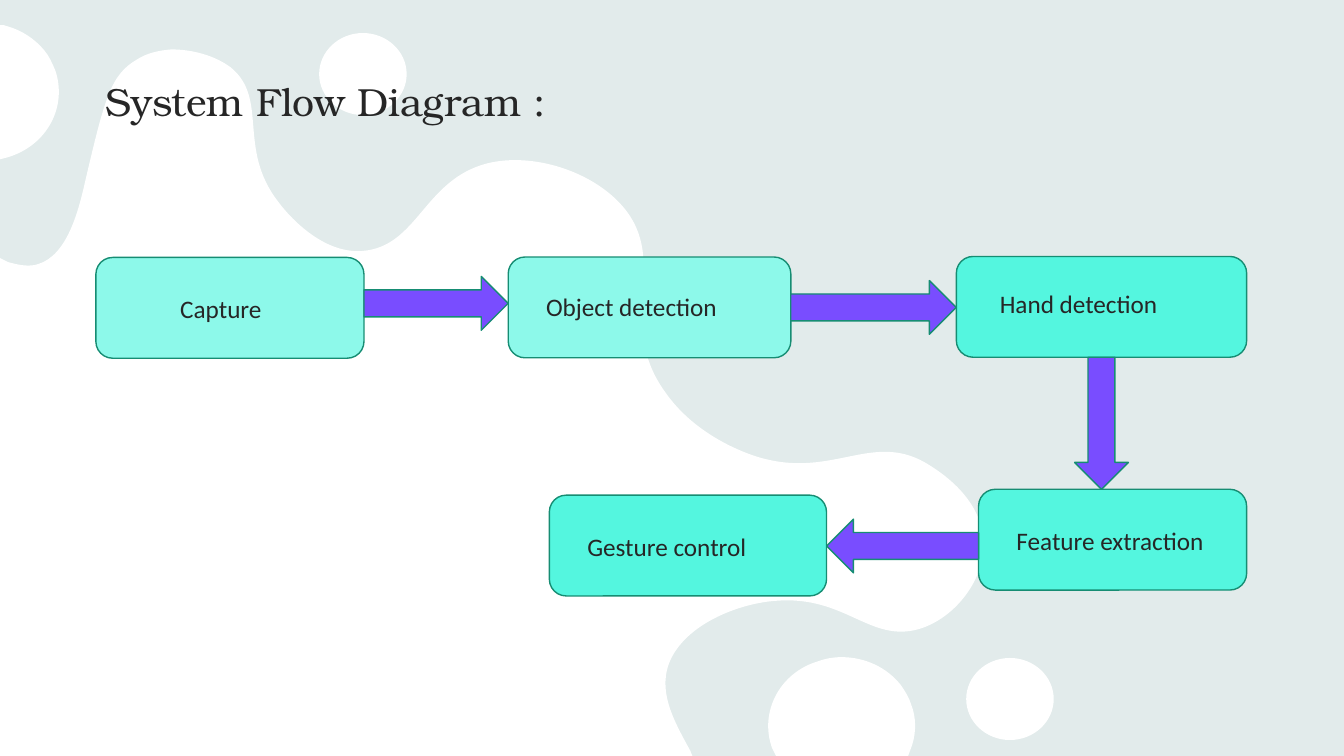
from collections import namedtuple

from lxml.etree import SubElement
from pptx import Presentation
from pptx.dml.color import RGBColor
from pptx.enum.shapes import MSO_SHAPE
from pptx.enum.text import MSO_ANCHOR, MSO_AUTO_SIZE, PP_ALIGN
from pptx.oxml.ns import qn
from pptx.util import Pt

Box = namedtuple("Box", "left top width height")

PAGE = Box(0, 0, 960, 540)
FORMS = Box(0, 18, 753, 522)
WHITE, INK, EDGE = "FFFFFF", "262626", "168D73"
LIGHT_MINT, MINT, PURPLE = "8DF9EA", "54F6DF", "794DFF"
ARROW_THICKNESS = 38.4
LABEL_WIDTH, LABEL_HEIGHT = 216, 29

# Outlines of the backdrop: a start point, then lines (x, y) or Bezier curves
LANDSCAPE = [
    (122.4, 35.3), (137.5, 35.3, 153.4, 39.6, 164.9, 48.2),
    (192.2, 70.6, 169.2, 105.8, 198.7, 144), (202.3, 149, 227.5, 181.4, 258.5, 179.3),
    (298.8, 176.4, 302.4, 128.2, 348.5, 116.6), (380.9, 108.7, 423.4, 122.4, 445, 147.6),
    (478.8, 187.2, 439.2, 230.4, 475.2, 280.1), (499.7, 315.4, 542.2, 326.9, 545.8, 327.6),
    (595.4, 340.6, 623.5, 308.9, 661, 330.5), (668.2, 334.8, 693.4, 349.9, 700.6, 375.1),
    (702, 378.7, 702.7, 382.3, 702.7, 385.9), (704.2, 413.3, 682.6, 441.4, 656.6, 449.3),
    (621.4, 459.4, 604.1, 425.5, 555.1, 429.1), (529.9, 430.6, 492.5, 444.2, 479.5, 470.2),
    (468.7, 492.5, 481, 514.1, 493.2, 536.4), (494.6, 540), (0, 540), (0, 184.3),
    (5.8, 187.2), (13.7, 189.4, 20.9, 190.8, 27.4, 188.6),
    (48.2, 182.2, 56.2, 150.5, 61.2, 128.2), (74.9, 69.8, 79.2, 53.3, 97.9, 42.5),
    (104.4, 38.2, 113, 36, 122.4, 35.3),
]
BOTTOM_DROP = [
    (601.2, 469.4), (617.8, 469.4, 633.6, 476.6, 643.7, 489.6),
    (646.6, 493.9, 649.4, 498.2, 650.9, 503.3), (654.5, 512.6, 654.5, 522.7, 651.6, 532.1),
    (648.7, 540), (554.4, 540), (551.5, 534.2), (542.2, 508.3, 557.3, 480.2, 584.6, 472.3),
    (590.4, 470.2, 595.4, 469.4, 601.2, 469.4),
]
LEFT_DROP = [
    (0, 18), (2.9, 18), (5, 18.7), (15.8, 21.6, 25.2, 28.1, 31.7, 36),
    (35.3, 40.3, 37.4, 45.4, 39.6, 50.4), (48.2, 76.3, 33.8, 103.7, 5.8, 112.3),
    (0, 113.8),
]
ROUND_DROPS = [Box(228, 23.6, 62.5, 58.6), Box(690.2, 470, 62.5, 58.6)]

# Steps of the flow: label, box, fill, offset of the label inside the box
STEPS = [
    ("Capture", Box(68.5, 183.9, 191.5, 72), LIGHT_MINT, (53.2, 22)),
    ("Object detection", Box(363, 183.6, 201.9, 72), LIGHT_MINT, (20, 21)),
    ("Hand detection", Box(683.1, 183.2, 207.4, 72), MINT, (24, 19)),
    ("Feature extraction", Box(699, 349.5, 191.5, 72), MINT, (20, 22)),
    ("Gesture control", Box(392.4, 353.7, 198, 72), MINT, (20, 22)),
]
ARROW_SHIFTS = [-3.2, 0, 0, 4.5]


def color(value):
    return RGBColor.from_string(value)


def paint(shape, fill, line=None):
    shape.shadow.inherit = False
    shape.fill.solid()
    shape.fill.fore_color.rgb = color(fill)
    if line:
        shape.line.color.rgb = color(line)
        shape.line.width = Pt(1)
    else:
        shape.line.fill.background()


def add_preset(slide, kind, box, fill, line=None):
    shape = slide.shapes.add_shape(kind, *map(Pt, box))
    paint(shape, fill, line)
    return shape


def write_text(shape, text, *, font="Calibri", size=18, ink=INK):
    frame = shape.text_frame
    frame.word_wrap = True
    frame.auto_size = MSO_AUTO_SIZE.SHAPE_TO_FIT_TEXT
    frame.vertical_anchor = MSO_ANCHOR.TOP
    paragraph = frame.paragraphs[0]
    paragraph.alignment = PP_ALIGN.LEFT
    run = paragraph.add_run()
    run.text = text
    run.font.name = font
    run.font.size = Pt(size)
    run.font.color.rgb = color(ink)


def ellipse_outline(box):
    """Describe an ellipse by four Bezier curves."""
    rx, ry = box.width / 2, box.height / 2
    cx, cy = box.left + rx, box.top + ry
    kx, ky = rx * 0.55, ry * 0.55
    return [
        (cx, cy - ry), (cx + kx, cy - ry, cx + rx, cy - ky, cx + rx, cy),
        (cx + rx, cy + ky, cx + kx, cy + ry, cx, cy + ry),
        (cx - kx, cy + ry, cx - rx, cy + ky, cx - rx, cy),
        (cx - rx, cy - ky, cx - kx, cy - ry, cx, cy - ry),
    ]


def add_curved_form(slide, box, outlines, fill):
    """Draw all outlines as one freeform with true curves."""
    right, bottom = box.left + box.width, box.top + box.height
    builder = slide.shapes.build_freeform(Pt(box.left), Pt(box.top))
    builder.add_line_segments([(Pt(right), Pt(box.top)), (Pt(right), Pt(bottom)),
                               (Pt(box.left), Pt(bottom))])
    shape = builder.convert_to_shape()
    paint(shape, fill)

    contour = next(shape.element.iter(qn("a:path")))
    for command in list(contour):
        contour.remove(command)
    for outline in outlines:
        for index, segment in enumerate(outline):
            name = "cubicBezTo" if len(segment) == 6 else "lnTo" if index else "moveTo"
            command = SubElement(contour, qn(f"a:{name}"))
            for x, y in zip(segment[::2], segment[1::2]):
                point = SubElement(command, qn("a:pt"))
                point.set("x", str(int(Pt(x - box.left))))
                point.set("y", str(int(Pt(y - box.top))))
        SubElement(contour, qn("a:close"))


def add_backdrop(slide, box):
    slide.background.fill.solid()
    slide.background.fill.fore_color.rgb = color("E9F3F3")

    # Translucent grey veil
    veil = add_preset(slide, MSO_SHAPE.RECTANGLE, box, "AEAEAE")
    tint = next(veil.element.iter(qn("a:srgbClr")))
    SubElement(tint, qn("a:alpha")).set("val", "10000")

    # White organic forms
    drops = [ellipse_outline(drop) for drop in ROUND_DROPS]
    add_curved_form(slide, FORMS, [LANDSCAPE, BOTTOM_DROP, LEFT_DROP, *drops], WHITE)


def add_title(slide, box):
    title = slide.shapes.title
    title.left, title.top, title.width, title.height = map(Pt, box)
    write_text(title, "System Flow Diagram :", font="TeX Gyre Bonum", size=28)
    # Bring the title in front of the backdrop
    title.element.getparent().append(title.element)


def add_arrow(slide, source, target, shift=0):
    """Fill the gap between two boxes with a block arrow."""
    half = ARROW_THICKNESS / 2
    source_right = source.left + source.width
    target_right = target.left + target.width
    source_bottom = source.top + source.height
    top = source.top + source.height / 2 - half + shift
    if target.left > source_right:
        kind = MSO_SHAPE.RIGHT_ARROW
        box = Box(source_right, top, target.left - source_right, ARROW_THICKNESS)
    elif target_right < source.left:
        kind = MSO_SHAPE.LEFT_ARROW
        box = Box(target_right, top, source.left - target_right, ARROW_THICKNESS)
    else:
        kind = MSO_SHAPE.DOWN_ARROW
        left = source.left + source.width / 2 - half
        box = Box(left, source_bottom, ARROW_THICKNESS, target.top - source_bottom)
    add_preset(slide, kind, box, PURPLE, EDGE)


def add_flow(slide, area):
    places = [box._replace(left=area.left + box.left, top=area.top + box.top)
              for _, box, _, _ in STEPS]
    # Boxes and the arrows between them
    for place, (_, _, fill, _) in zip(places, STEPS):
        add_preset(slide, MSO_SHAPE.ROUNDED_RECTANGLE, place, fill, EDGE)
    for source, target, shift in zip(places, places[1:], ARROW_SHIFTS):
        add_arrow(slide, source, target, shift)
    # Labels
    for place, (label, _, _, (right, down)) in zip(places, STEPS):
        box = Box(place.left + right, place.top + down, LABEL_WIDTH, LABEL_HEIGHT)
        write_text(slide.shapes.add_textbox(*map(Pt, box)), label)


def main():
    presentation = Presentation()
    presentation.slide_width = Pt(PAGE.width)
    presentation.slide_height = Pt(PAGE.height)
    slide = presentation.slides.add_slide(presentation.slide_layouts[5])
    add_backdrop(slide, PAGE)
    add_flow(slide, PAGE)
    add_title(slide, Box(68.5, 51.5, 439, 41))
    presentation.save("out.pptx")


if __name__ == "__main__":
    main()
